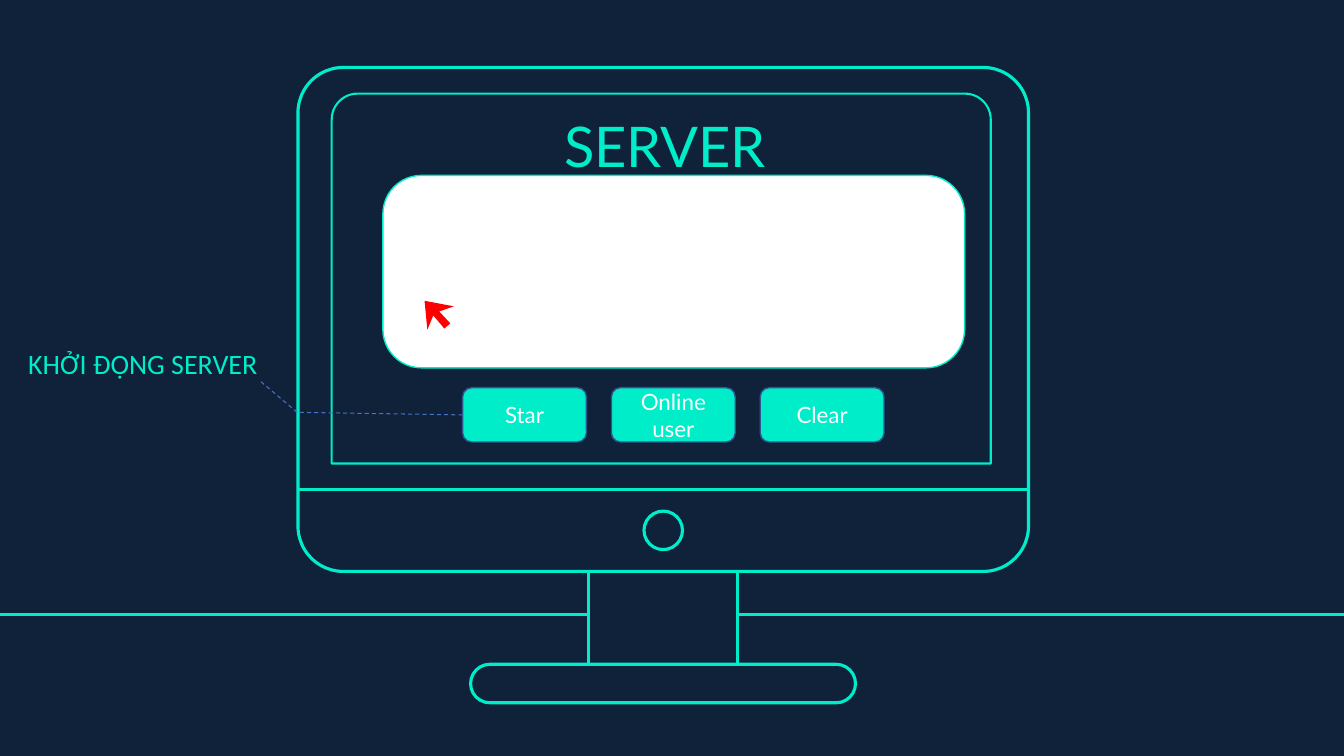
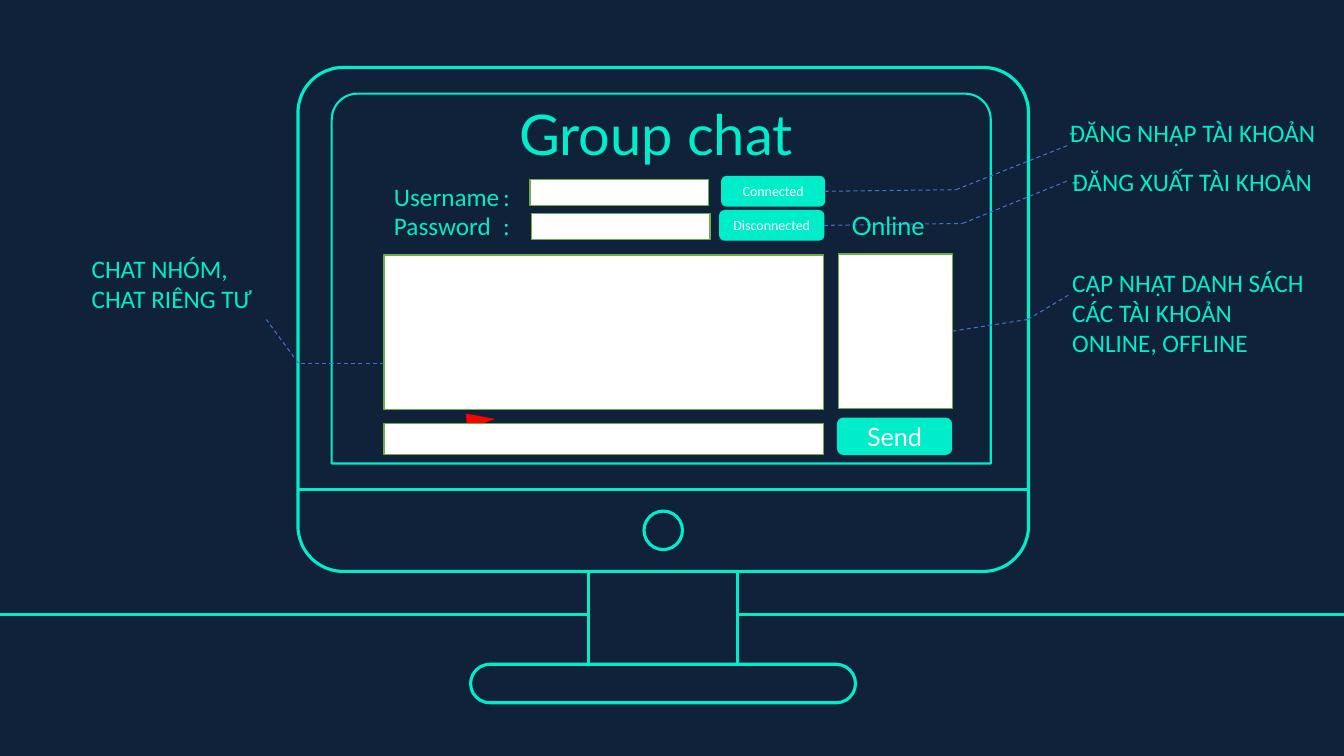
from lxml.etree import SubElement
from pptx import Presentation
from pptx.dml.color import RGBColor
from pptx.enum.dml import MSO_LINE
from pptx.enum.shapes import MSO_CONNECTOR, MSO_SHAPE
from pptx.enum.text import MSO_ANCHOR, MSO_AUTO_SIZE, PP_ALIGN
from pptx.oxml.ns import qn
from pptx.util import Cm, Pt

NAVY = RGBColor(0x10, 0x21, 0x3A)
TEAL = RGBColor(0x00, 0xED, 0xCA)
WHITE = RGBColor(0xFF, 0xFF, 0xFF)
RED = RGBColor(0xFF, 0x00, 0x00)
GREEN = RGBColor(0x70, 0xAD, 0x47)
BLUE = RGBColor(0x44, 0x72, 0xC4)
DARK_BLUE = RGBColor(0x32, 0x54, 0x91)
WIDTH, HEIGHT = 33.87, 19.05
RIGHT_SIDE = 3


def add_box(page, kind, place, fill, line, weight=1, corners=(), text="", size=16, font="Lato"):
    box = page.shapes.add_shape(kind, *[Cm(value) for value in place])
    box.shadow.inherit = False
    for index, corner in enumerate(corners):
        box.adjustments[index] = corner
    if fill is None:
        box.fill.background()
    else:
        box.fill.solid()
        box.fill.fore_color.rgb = fill
    box.line.color.rgb = line
    box.line.width = Pt(weight)
    if text:
        para = box.text_frame.paragraphs[0]
        para.text = text
        para.alignment = PP_ALIGN.CENTER
        para.font.size = Pt(size)
        para.font.name = font
        para.font.color.rgb = WHITE
    return box


def add_line(page, start, end, color, weight):
    line = page.shapes.add_connector(
        MSO_CONNECTOR.STRAIGHT, *[Cm(value) for value in start + end]
    )
    SubElement(line._element.spPr, qn("a:effectLst"))
    line.line.color.rgb = color
    line.line.width = Pt(weight)
    return line


deck = Presentation()
deck.slide_width, deck.slide_height = Cm(WIDTH), Cm(HEIGHT)
background = deck.slide_master.background.fill
background.solid()
background.fore_color.rgb = NAVY

titles = [
    ("SERVER", 12.52, 3.1, 8.48),
    ("Group chat", 11.4, 2.79, 10.26),
]
pages = []
for text, left, top, width in titles:
    page = deck.slides.add_slide(deck.slide_layouts[5])
    pages.append(page)

    add_line(page, (0, 15.49), (WIDTH, 15.49), TEAL, 2.25)
    add_box(page, MSO_SHAPE.RECTANGLE, (14.83, 14.4, 3.76, 2.57), NAVY, TEAL, 2.25)
    add_box(page, MSO_SHAPE.ROUNDED_RECTANGLE, (7.51, 1.7, 18.41, 12.7), None, TEAL, 2.25, [0.09])
    add_box(page, MSO_SHAPE.ROUND_2_SAME_RECTANGLE, (8.36, 2.36, 16.61, 9.32), None, TEAL, 1.5, [0.07, 0])
    add_line(page, (7.51, 12.34), (25.92, 12.34), TEAL, 2.25)
    add_box(page, MSO_SHAPE.OVAL, (16.23, 12.88, 0.97, 0.97), None, TEAL, 2.25)
    add_box(page, MSO_SHAPE.ROUNDED_RECTANGLE, (11.86, 16.74, 9.7, 0.97), NAVY, TEAL, 2.25, [0.5])

    title = page.shapes.title
    title.left, title.top, title.width, title.height = Cm(left), Cm(top), Cm(width), Cm(1.55)
    frame = title.text_frame
    frame.auto_size = MSO_AUTO_SIZE.NONE
    frame.vertical_anchor = MSO_ANCHOR.BOTTOM
    para = frame.paragraphs[0]
    para.text = text
    para.alignment = PP_ALIGN.CENTER
    para.line_spacing = 0.9
    para.font.size = Pt(40)
    para.font.name = "Lato"
    para.font.color.rgb = TEAL

server, chat = pages

add_box(server, MSO_SHAPE.ROUNDED_RECTANGLE, (9.65, 4.42, 14.66, 4.85), WHITE, TEAL, 1, [0.2])
buttons = {}
for index, text in enumerate(["Star", "Online user", "Clear"]):
    buttons[text] = add_box(
        server, MSO_SHAPE.ROUNDED_RECTANGLE, (11.66 + 3.75 * index, 9.77, 3.12, 1.37),
        TEAL, DARK_BLUE, text=text,
    )

pointer = [
    (10.7, 7.58), (11.44, 7.72), (11.07, 7.85), (11.35, 8.15),
    (11.2, 8.28), (10.92, 7.95), (10.77, 8.31),
]
for page, shift_x, shift_y in [(server, 0, 0), (chat, 1.04, 2.84)]:
    points = [(Cm(x + shift_x), Cm(y + shift_y)) for x, y in pointer]
    builder = page.shapes.build_freeform(*points[0])
    builder.add_line_segments(points[1:], close=True)
    arrow = builder.convert_to_shape()
    arrow.shadow.inherit = False
    arrow.fill.solid()
    arrow.fill.fore_color.rgb = RED
    arrow.line.fill.background()

fields = {
    "messages": (9.68, 6.43, 11.07, 3.89),
    "members": (21.13, 6.4, 2.87, 3.89),
    "entry": (9.68, 10.67, 11.07, 0.79),
    "username": (13.36, 4.52, 4.5, 0.66),
    "password": (13.39, 5.38, 4.5, 0.66),
}
field_boxes = {
    name: add_box(chat, MSO_SHAPE.RECTANGLE, place, WHITE, GREEN)
    for name, place in fields.items()
}
for text, place, size, font in [
    ("Send", (21.11, 10.54, 2.87, 0.91), 18, "Lato"),
    ("Connected", (18.19, 4.45, 2.59, 0.74), 10, "Calibri"),
    ("Disconnected", (18.14, 5.31, 2.62, 0.74), 10, "Calibri"),
]:
    buttons[text] = add_box(
        chat, MSO_SHAPE.ROUNDED_RECTANGLE, place, TEAL, TEAL, text=text, size=size, font=font
    )

leaders = [
    (server, (11.66, 10.46), (7.49, 10.39), (6.53, 9.58), buttons["Star"], 1),
    (chat, (20.78, 4.82), (24.09, 4.78), (26.92, 3.66), buttons["Connected"], RIGHT_SIDE),
    (chat, (20.76, 5.68), (24.26, 5.63), (26.92, 4.55), buttons["Disconnected"], RIGHT_SIDE),
    (chat, (24, 8.35), (25.9, 8.05), (26.92, 7.44), field_boxes["members"], RIGHT_SIDE),
    (chat, (9.68, 9.15), (7.52, 9.15), (6.71, 8.05), None, None),
]
for page, start, bend, end, target, side in leaders:
    inner = add_line(page, start, bend, BLUE, 0.75)
    outer = add_line(page, bend, end, BLUE, 0.75)
    for line in (inner, outer):
        line.line.dash_style = MSO_LINE.DASH
    if target is not None:
        inner.begin_connect(target, side)

labels = [
    (server, "KHỞI ĐỘNG SERVER", (0.46, 8.61, 6.63, 1.12), 20, "Calibri"),
    (chat, "Online", (21.21, 5.18, 3.33, 1.02), 18, "Lato"),
    (chat, "Username\t:", (9.68, 4.45, 4.14, 1.02), 18, "Calibri"),
    (chat, "Password\t:", (9.68, 5.18, 4.14, 1.02), 18, "Calibri"),
    (chat, "ĐĂNG NHẬP TÀI KHOẢN", (26.7, 2.82, 7.1, 1.02), 18, "Calibri"),
    (chat, "ĐĂNG XUẤT TÀI KHOẢN", (26.77, 4.06, 7, 1.02), 18, "Calibri"),
    (chat, "CẬP NHẬT DANH SÁCH CÁC TÀI KHOẢN ONLINE, OFFLINE", (26.77, 6.6, 6.6, 2.57), 18, "Calibri"),
    (chat, "CHAT NHÓM, CHAT RIÊNG TƯ", (2.06, 6.25, 5.38, 1.8), 18, "Calibri"),
]
for page, text, place, size, font in labels:
    box = page.shapes.add_textbox(*[Cm(value) for value in place])
    box.text_frame.word_wrap = True
    para = box.text_frame.paragraphs[0]
    para.text = text
    if "\t" in text:
        tabs = SubElement(para._p.get_or_add_pPr(), qn("a:tabLst"))
        SubElement(tabs, qn("a:tab"), pos=str(Cm(2.75)), algn="l")
    para.font.size = Pt(size)
    para.font.name = font
    para.font.color.rgb = TEAL

deck.save("out.pptx")
